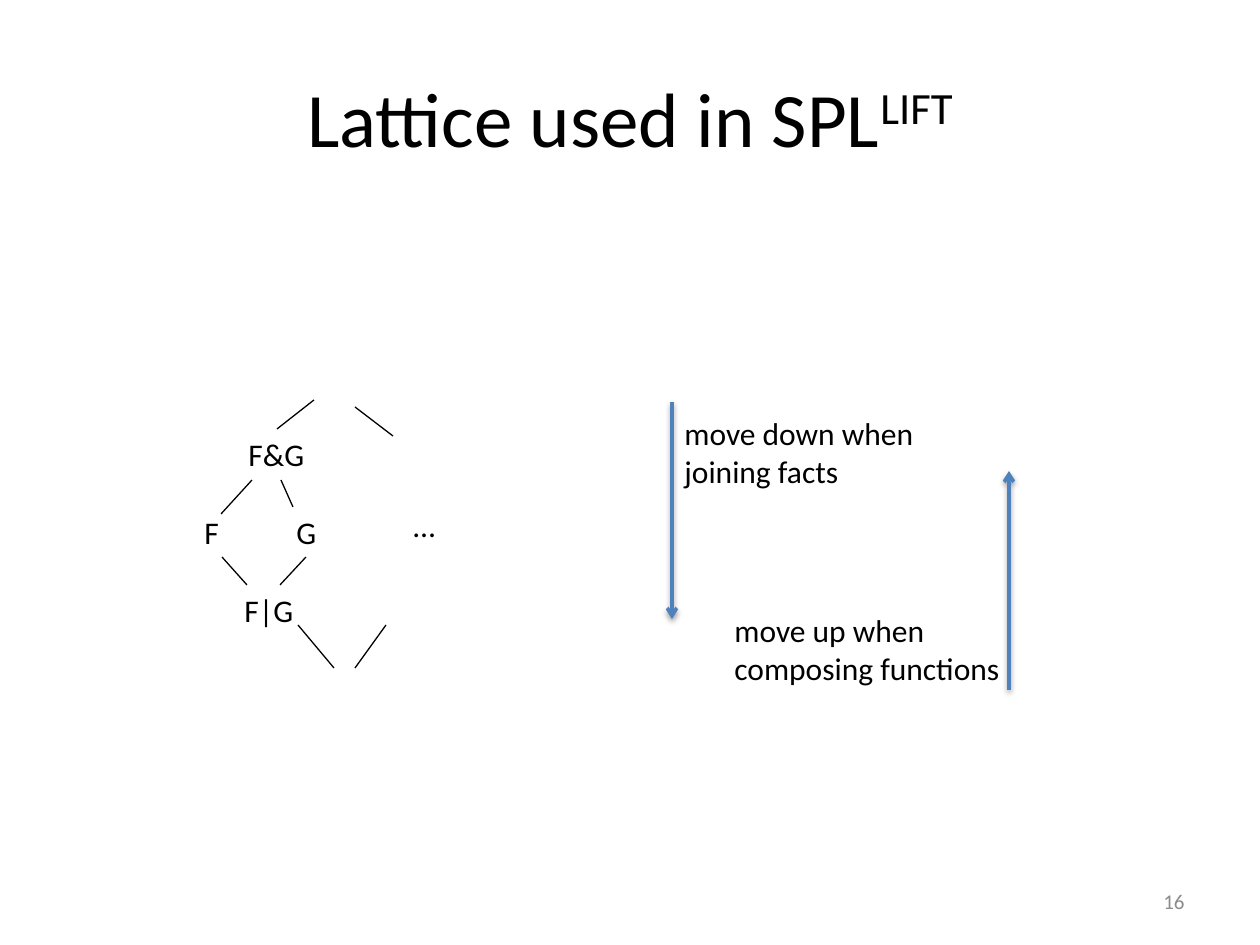
from dataclasses import dataclass

from lxml import etree
from pptx import Presentation
from pptx import util as u
from pptx.dml.color import RGBColor
from pptx.enum import shapes, text
from pptx.oxml import ns
from pptx.slide import Slide

EMU_PER_PX = 914400 / 126
FONT = "Calibri"
BLACK = RGBColor(0x00, 0x00, 0x00)
GRAY = RGBColor(0x8C, 0x8C, 0x8C)
BLUE = RGBColor(0x4F, 0x81, 0xBD)


@dataclass(frozen=True)
class Label:
    words: str
    left: int
    top: int
    width: int
    height: int = 50
    size: int = 18
    color: RGBColor = BLACK
    align: text.PP_ALIGN = text.PP_ALIGN.LEFT
    anchor: text.MSO_ANCHOR = text.MSO_ANCHOR.TOP
    wrap: bool = False


@dataclass(frozen=True)
class Line:
    x1: int
    y1: int
    x2: int
    y2: int
    color: RGBColor = BLACK
    weight: float = 0.75
    arrow: bool = False


LATTICE_NODES = [
    Label("F", 192, 507, 40),
    Label("G", 284, 507, 45),
    Label("F|G", 232, 585, 74),
    Label("F&G", 236, 429, 82),
    Label("…", 401, 500, 48),
]
LATTICE_EDGES = [
    Line(277, 429, 314, 400),
    Line(221, 514, 252, 480),
    Line(293, 507, 281, 480),
    Line(280, 585, 306, 557),
    Line(247, 585, 222, 557),
    Line(334, 668, 298, 625),
    Line(355, 668, 386, 625),
    Line(393, 436, 355, 407),
]
DIRECTIONS = [
    Line(672, 402, 672, 619, BLUE, 2, True),
    Line(1009, 690, 1009, 471, BLUE, 2, True),
]
CAPTIONS = [
    Label("move down when\njoining facts", 672, 408, 260, 89),
    Label("move up when\ncomposing functions", 722, 605, 294, 89),
]
PAGE_NUMBER = Label("16", 903, 876, 294, 50, 12, GRAY,
                    text.PP_ALIGN.RIGHT, text.MSO_ANCHOR.MIDDLE, True)


def px(length: int) -> u.Emu:
    return u.Emu(round(length * EMU_PER_PX))


def add_label(slide: Slide, label: Label) -> None:
    box = slide.shapes.add_textbox(
        px(label.left), px(label.top), px(label.width), px(label.height))
    frame = box.text_frame
    frame.word_wrap = label.wrap
    frame.vertical_anchor = label.anchor
    frame.text = label.words
    for paragraph in frame.paragraphs:
        paragraph.alignment = label.align
        paragraph.font.name = FONT
        paragraph.font.size = u.Pt(label.size)
        paragraph.font.color.rgb = label.color


def add_line(slide: Slide, line: Line) -> None:
    connector = slide.shapes.add_connector(
        shapes.MSO_CONNECTOR.STRAIGHT,
        px(line.x1), px(line.y1), px(line.x2), px(line.y2))
    connector.line.color.rgb = line.color
    connector.line.width = u.Pt(line.weight)
    properties = connector._element.spPr
    effects = etree.SubElement(properties, ns.qn("a:effectLst"))
    if line.arrow:
        stroke = properties.find(ns.qn("a:ln"))
        etree.SubElement(stroke, ns.qn("a:tailEnd"), type="arrow")
        shadow = etree.SubElement(
            effects, ns.qn("a:outerShdw"), blurRad="40000", dist="20000",
            dir="5400000", rotWithShape="0")
        tint = etree.SubElement(shadow, ns.qn("a:srgbClr"), val=str(BLACK))
        etree.SubElement(tint, ns.qn("a:alpha"), val="38000")


def fill_title(slide: Slide) -> None:
    title = slide.shapes.title
    title.left, title.top = px(63), px(38)
    title.width, title.height = px(1134), px(157)
    title.text_frame.vertical_anchor = text.MSO_ANCHOR.MIDDLE
    heading = title.text_frame.paragraphs[0]
    heading.alignment = text.PP_ALIGN.CENTER
    heading.add_run().text = "Lattice used in SPL"
    superscript = heading.add_run()
    superscript.text = "LIFT"
    superscript._r.get_or_add_rPr().set("baseline", "30000")
    heading.font.name = FONT
    heading.font.size = u.Pt(44)
    heading.font.color.rgb = BLACK


def main() -> None:
    deck = Presentation()
    deck.slide_width, deck.slide_height = px(1260), px(945)
    slide = deck.slides.add_slide(deck.slide_layouts.get_by_name("Title Only"))
    fill_title(slide)
    for line in LATTICE_EDGES + DIRECTIONS:
        add_line(slide, line)
    for label in LATTICE_NODES + CAPTIONS + [PAGE_NUMBER]:
        add_label(slide, label)
    deck.save("out.pptx")


if __name__ == "__main__":
    main()
